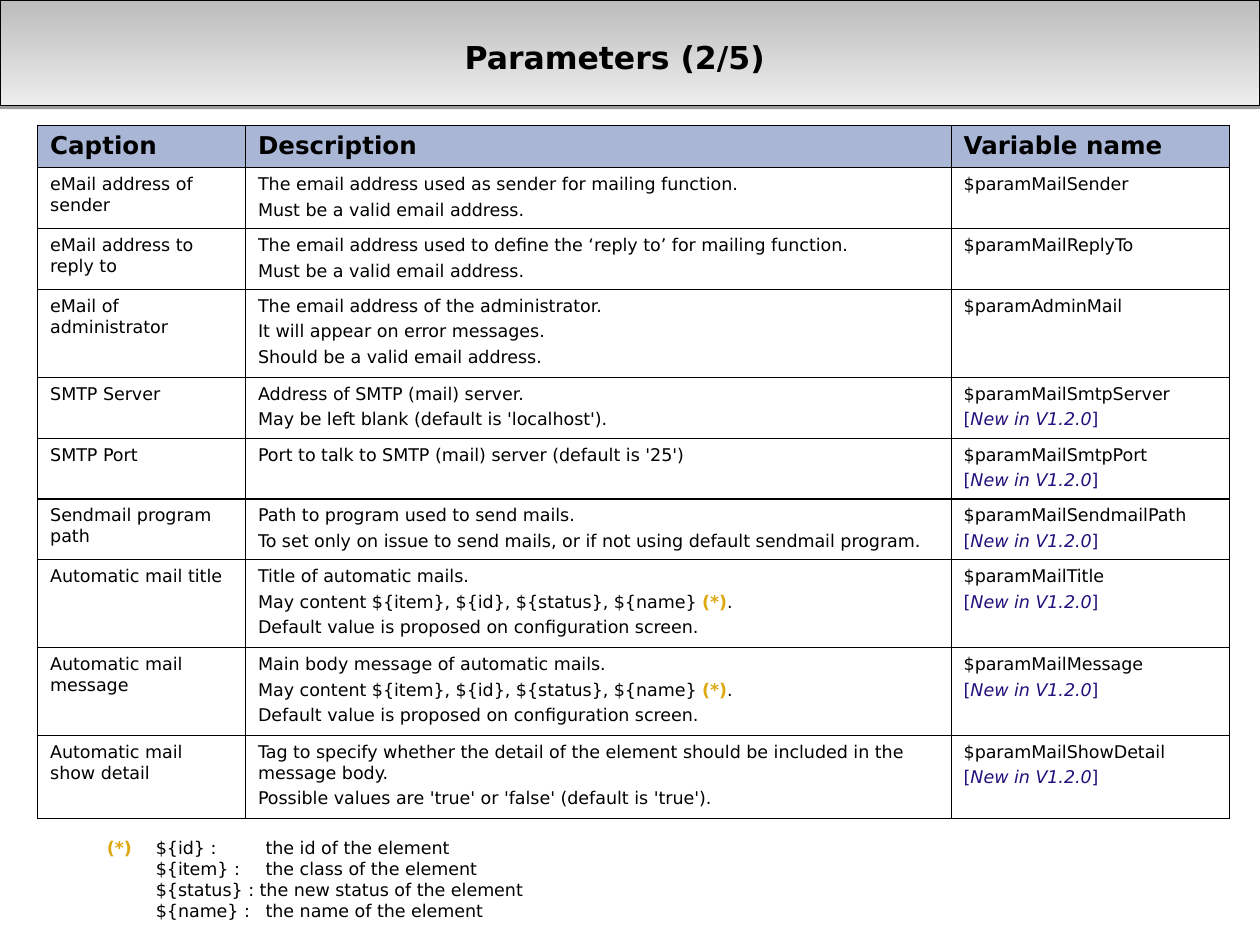
from lxml.etree import SubElement
from pptx import Presentation
from pptx.dml.color import RGBColor
from pptx.enum.shapes import MSO_SHAPE
from pptx.enum.text import MSO_ANCHOR, PP_ALIGN
from pptx.oxml.ns import qn
from pptx.util import Pt

BLACK, GOLD, INDIGO, HEADER = "000000", "DEA810", "240F7B", "AAB6D6"
MARK = ("(*)", {"color": GOLD, "bold": True})
NEW = [("[", {"color": INDIGO}),
       ("New in V1.2.0", {"color": INDIGO, "italic": True}),
       ("]", {"color": INDIGO})]
PLACEHOLDERS = [("May content ${item}, ${id}, ${status}, ${name} ", {}), MARK, (".", {})]
DEFAULT_NOTE = "Default value is proposed on configuration screen."
VALID_NOTE = "Must be a valid email address."

PARAMETERS = [
    ("eMail address of sender",
     ["The email address used as sender for mailing function.", VALID_NOTE],
     ["$paramMailSender"]),
    ("eMail address to reply to",
     ["The email address used to define the ‘reply to’ for mailing function.", VALID_NOTE],
     ["$paramMailReplyTo"]),
    ("eMail of administrator",
     ["The email address of the administrator.", "It will appear on error messages.",
      "Should be a valid email address."],
     ["$paramAdminMail"]),
    ("SMTP Server",
     ["Address of SMTP (mail) server.", "May be left blank (default is 'localhost')."],
     ["$paramMailSmtpServer", NEW]),
    ("SMTP Port",
     ["Port to talk to SMTP (mail) server (default is '25')"],
     ["$paramMailSmtpPort", NEW]),
    ("Sendmail program path",
     ["Path to program used to send mails.",
      "To set only on issue to send mails, or if not using default sendmail program."],
     ["$paramMailSendmailPath", NEW]),
    ("Automatic mail title",
     ["Title of automatic mails.", PLACEHOLDERS, DEFAULT_NOTE],
     ["$paramMailTitle", NEW]),
    ("Automatic mail message",
     ["Main body message of automatic mails.", PLACEHOLDERS, DEFAULT_NOTE],
     ["$paramMailMessage", NEW]),
    ("Automatic mail show detail",
     ["Tag to specify whether the detail of the element should be included in the message body.",
      "Possible values are 'true' or 'false' (default is 'true')."],
     ["$paramMailShowDetail", NEW]),
]
COLUMN_WIDTHS = [118.8, 403.2, 159.1]
ROW_HEIGHTS = [24.4, 34.8, 34.8, 50.2, 34.8, 34.8, 34.8, 50.2, 50.2, 47.2]
LEGEND = [
    [MARK, ("\t${id} : \tthe id of the element", {})],
    "\t${item} : \tthe class of the element",
    "\t${status} : the new status of the element",
    "\t${name} : \tthe name of the element",
]


def rgb(value):
    return RGBColor.from_string(value)


class ParameterSlide:
    font_name = "DejaVu Sans"

    def __init__(self, slide):
        self.slide = slide

    def style(self, font, size, bold=False):
        font.name = self.font_name
        font.size = Pt(size)
        font.bold = bold
        font.color.rgb = rgb(BLACK)

    def add_lines(self, frame, lines, size, bold=False, spaced=False, tabs=()):
        for index, line in enumerate(lines):
            paragraph = frame.paragraphs[0] if index == 0 else frame.add_paragraph()
            if spaced:
                paragraph.line_spacing = 1.04 if index else 1.02
                if index:
                    paragraph.space_before = Pt(2.5)
            if tabs:
                stops = SubElement(paragraph._p.get_or_add_pPr(), qn("a:tabLst"))
                for stop in tabs:
                    SubElement(stops, qn("a:tab"), pos=str(Pt(stop)), algn="l")
            self.style(paragraph.font, size, bold)
            for text, look in [(line, {})] if isinstance(line, str) else line:
                run = paragraph.add_run()
                run.text = text
                if "color" in look:
                    run.font.color.rgb = rgb(look["color"])
                if "bold" in look:
                    run.font.bold = True
                if "italic" in look:
                    run.font.italic = True

    def banner(self, width, height):
        band = self.slide.shapes.add_shape(MSO_SHAPE.RECTANGLE, 0, 0, Pt(width), Pt(height))
        band.fill.gradient()
        band.fill.gradient_angle = 90
        for position, (stop, color) in enumerate(
                zip(band.fill.gradient_stops, ("EDEDED", "BCBCBC"))):
            stop.color.rgb = rgb(color)
            stop.position = position
        band.line.color.rgb = rgb(BLACK)
        band.line.width = Pt(0.75)
        band.shadow.inherit = False
        effects = band._element.spPr.find(qn("a:effectLst"))
        shadow = SubElement(effects, qn("a:outerShdw"), dist=str(Pt(1.6)), dir="5400000",
                            algn="ctr", rotWithShape="0")
        tint = SubElement(shadow, qn("a:srgbClr"), val=BLACK)
        SubElement(tint, qn("a:alpha"), val="38000")
        self.slide.shapes._spTree.insert(2, band._element)

    def title(self, text, left, top, width, height):
        heading = self.slide.shapes.title
        heading.left, heading.top = Pt(left), Pt(top)
        heading.width, heading.height = Pt(width), Pt(height)
        frame = heading.text_frame
        frame.margin_left = frame.margin_right = frame.margin_top = frame.margin_bottom = 0
        frame.vertical_anchor = MSO_ANCHOR.MIDDLE
        frame.paragraphs[0].alignment = PP_ALIGN.CENTER
        self.add_lines(frame, [text], 18, bold=True)

    def border(self, cell):
        properties = cell._tc.get_or_add_tcPr()
        for side in ("a:lnL", "a:lnR", "a:lnT", "a:lnB"):
            edge = SubElement(properties, qn(side), w=str(Pt(0.75)))
            fill = SubElement(edge, qn("a:solidFill"))
            SubElement(fill, qn("a:srgbClr"), val=BLACK)

    def table(self, headers, parameters, left, top):
        grid = self.slide.shapes.add_table(
            len(ROW_HEIGHTS), len(COLUMN_WIDTHS), Pt(left), Pt(top),
            Pt(sum(COLUMN_WIDTHS)), Pt(sum(ROW_HEIGHTS))).table
        grid.first_row = grid.horz_banding = False
        for column, width in zip(grid.columns, COLUMN_WIDTHS):
            column.width = Pt(width)
        for row, height in zip(grid.rows, ROW_HEIGHTS):
            row.height = Pt(height)
        entries = [[[header] for header in headers]]
        entries += [[[caption], description, variable]
                    for caption, description, variable in parameters]
        for row_index, (row, entry) in enumerate(zip(grid.rows, entries)):
            is_header = row_index == 0
            for cell, lines in zip(row.cells, entry):
                self.border(cell)
                if is_header:
                    cell.fill.solid()
                    cell.fill.fore_color.rgb = rgb(HEADER)
                else:
                    cell.fill.background()
                self.add_lines(cell.text_frame, lines, 14 if is_header else 10,
                               bold=is_header, spaced=True)

    def legend(self, lines, left, top, width, height):
        frame = self.slide.shapes.add_textbox(
            Pt(left), Pt(top), Pt(width), Pt(height)).text_frame
        frame.word_wrap = True
        self.add_lines(frame, lines, 10, tabs=(28, 90.7))


def main():
    deck = Presentation()
    deck.slide_width, deck.slide_height = Pt(720), Pt(540)
    page = ParameterSlide(deck.slides.add_slide(deck.slide_layouts[5]))
    page.banner(720, 60.5)
    page.title("Parameters (2/5)", 218, 9.5, 266.5, 45.5)
    page.table(["Caption", "Description", "Variable name"], PARAMETERS, 21.5, 71.5)
    page.legend(LEGEND, 54, 474.5, 391, 67.5)
    deck.save("out.pptx")


if __name__ == "__main__":
    main()
